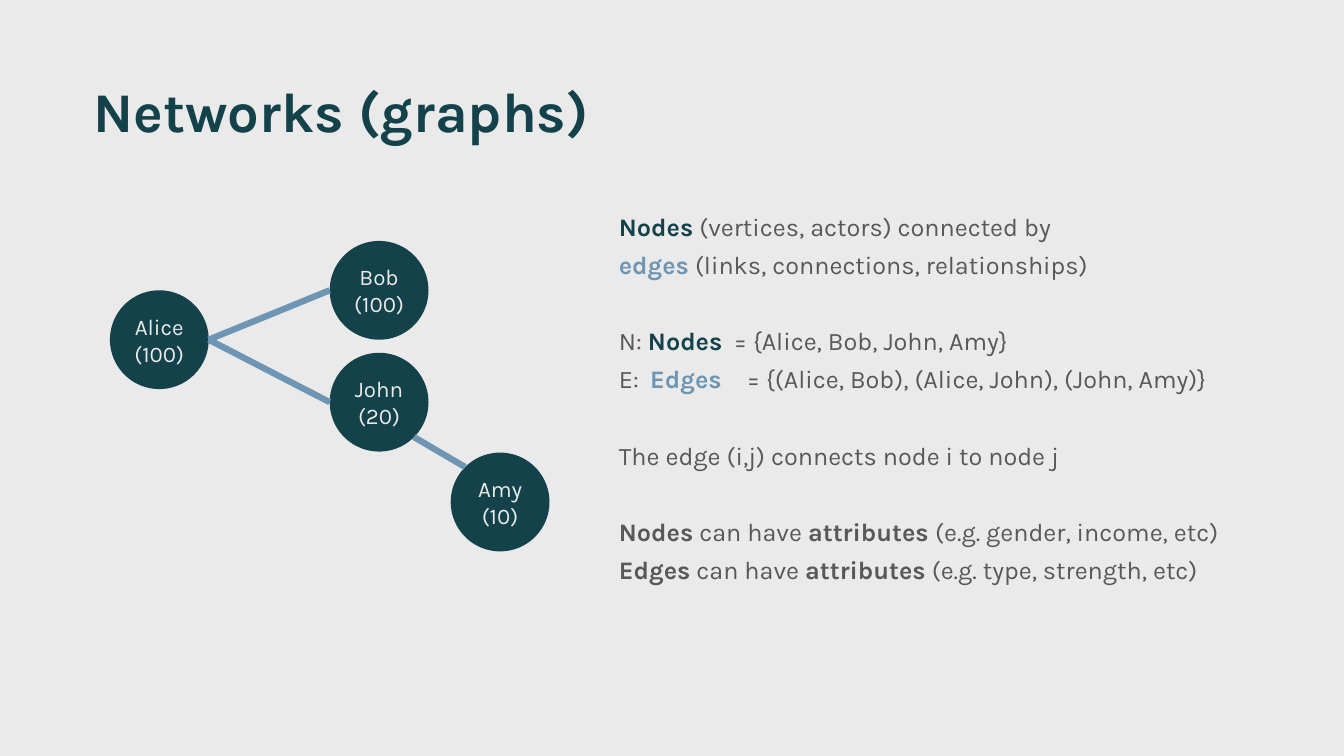
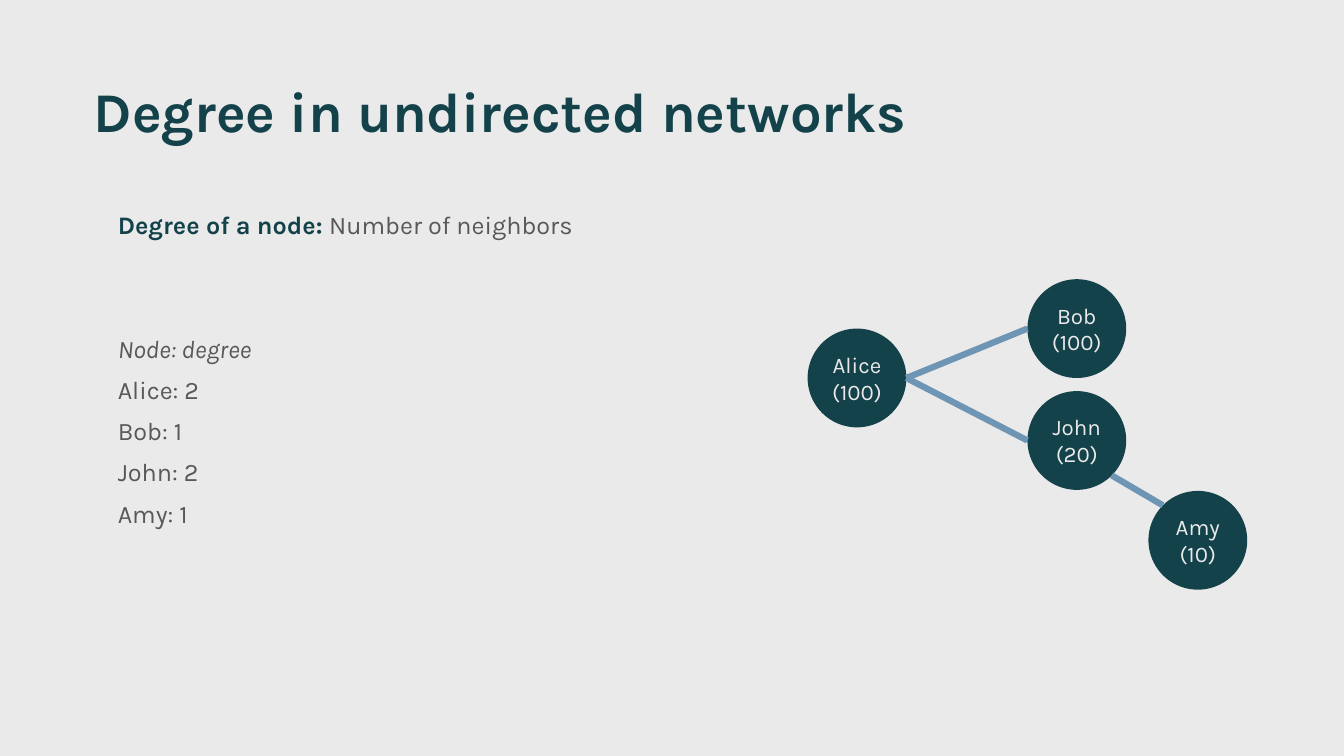
from math import cos, radians, sin

from lxml import etree
from pptx import Presentation
from pptx.dml.color import RGBColor
from pptx.enum.shapes import MSO_CONNECTOR, MSO_SHAPE
from pptx.enum.text import MSO_ANCHOR, MSO_AUTO_SIZE, PP_ALIGN
from pptx.oxml.ns import qn
from pptx.util import Inches, Pt

COLORS = {"back": "EAEAEA", "dark": "14424A", "blue": "6E96B4", "text": "585858"}
FONT = "Karla"

# Network, relative to its top left corner
NODE_SIZE = 0.98
NODES = {
    "Alice": (0, 0.49, "(100)"),
    "Bob": (2.18, 0, "(100)"),
    "John": (2.18, 1.11, "(20)"),
    "Amy": (3.38, 2.1, "(10)"),
}
# Node and clockwise angle on its rim, for each end of an edge
EDGES = [
    ("Alice", 0, "John", 180),
    ("Alice", 0, "Bob", 180),
    ("John", 45, "Amy", 225),
]

# A paragraph is (space before, tab stops, runs); a run is (text, color, style)
SLIDES = [
    {
        "title": "Networks (graphs)",
        "title_width": 5.83,
        "body_at": (6.04, 2.1),
        "line_spacing": 0.8,
        "network_at": (1.09, 2.39),
        "body": [
            (0, [], [("Nodes", "dark", "bold"),
                     (" (vertices, actors) connected by", "text", "")]),
            (10, [], [("edges", "blue", "bold"),
                      (" (links, connections, relationships)", "text", "")]),
            (37.3, [1.14], [("N: ", "text", ""), ("Nodes", "dark", "bold"),
                            ("\t= {Alice, Bob, John, Amy}", "text", "")]),
            (10, [0.31, 1.27], [("E:\t", "text", ""), ("Edges", "blue", "bold"),
                                ("\t= {(Alice, Bob), (Alice, John), (John, Amy)}", "text", "")]),
            (37.3, [], [("The edge (i,j) connects node i to node j", "text", "")]),
            (37.3, [], [("Nodes", "text", "bold"), (" can have ", "text", ""),
                        ("attributes ", "text", "bold"),
                        ("(e.g. gender, income, etc)", "text", "")]),
            (10, [], [("Edges", "text", "bold"), (" can have ", "text", ""),
                      ("attributes", "text", "bold"),
                      (" (e.g. type, strength, etc)", "text", "")]),
        ],
    },
    {
        "title": "Degree in undirected networks",
        "title_width": 11.43,
        "body_at": (1.07, 2.06),
        "line_spacing": 0.9,
        "network_at": (8.01, 2.77),
        "body": [
            (0, [], [("Degree of a node: ", "dark", "bold"),
                     ("Number of neighbors", "text", "")]),
            (69, [], [("Node: degree", "text", "italic")]),
            (10, [], [("Alice: 2", "text", "")]),
            (10, [], [("Bob: 1", "text", "")]),
            (10, [], [("John: 2", "text", "")]),
            (10, [], [("Amy: 1", "text", "")]),
        ],
    },
]


def add_run(paragraph, text, size, color, style=""):
    run = paragraph.add_run()
    run.text = text
    run.font.name = FONT
    run.font.size = Pt(size)
    run.font.bold = style == "bold"
    run.font.italic = style == "italic"
    run.font.color.rgb = RGBColor.from_string(COLORS[color])


def add_network(slide, left, top):
    """Draw the nodes as circles and join them with edges."""
    radius = NODE_SIZE / 2
    for name, (x, y, value) in NODES.items():
        node = slide.shapes.add_shape(
            MSO_SHAPE.OVAL, Inches(left + x), Inches(top + y),
            Inches(NODE_SIZE), Inches(NODE_SIZE))
        node.shadow.inherit = False
        node.fill.solid()
        node.fill.fore_color.rgb = RGBColor.from_string(COLORS["dark"])
        node.line.fill.background()
        frame = node.text_frame
        frame.vertical_anchor = MSO_ANCHOR.MIDDLE
        for paragraph, text in ((frame.paragraphs[0], name), (frame.add_paragraph(), value)):
            paragraph.alignment = PP_ALIGN.CENTER
            add_run(paragraph, text, 16, "back")

    for start, start_angle, end, end_angle in EDGES:
        ends = []
        for name, angle in ((start, start_angle), (end, end_angle)):
            x, y, _ = NODES[name]
            ends.append(Inches(left + x + radius * (1 + cos(radians(angle)))))
            ends.append(Inches(top + y + radius * (1 + sin(radians(angle)))))
        edge = slide.shapes.add_connector(MSO_CONNECTOR.STRAIGHT, *ends)
        edge.line.color.rgb = RGBColor.from_string(COLORS["blue"])
        edge.line.width = Pt(4.5)
        etree.SubElement(edge._element.spPr, qn("a:effectLst"))


presentation = Presentation()
presentation.slide_width = Inches(13.33)
presentation.slide_height = Inches(7.5)
background = presentation.slide_master.background.fill
background.solid()
background.fore_color.rgb = RGBColor.from_string(COLORS["back"])
title_only = presentation.slide_layouts[5]

for content in SLIDES:
    slide = presentation.slides.add_slide(title_only)

    title = slide.shapes.title
    title.left, title.top = Inches(0.83), Inches(0.78)
    title.width, title.height = Inches(content["title_width"]), Inches(1.3)
    title.text_frame.auto_size = MSO_AUTO_SIZE.NONE
    title.text_frame.vertical_anchor = MSO_ANCHOR.TOP
    paragraph = title.text_frame.paragraphs[0]
    paragraph.alignment = PP_ALIGN.LEFT
    paragraph.line_spacing = 0.9
    add_run(paragraph, content["title"], 40, "dark", "bold")

    left, top = content["body_at"]
    body = slide.shapes.add_textbox(Inches(left), Inches(top), Inches(6.34), Inches(4.01))
    frame = body.text_frame
    frame.word_wrap = True
    for index, (space_before, tab_stops, runs) in enumerate(content["body"]):
        paragraph = frame.add_paragraph() if index else frame.paragraphs[0]
        paragraph.line_spacing = content["line_spacing"]
        paragraph.space_before = Pt(space_before)
        if tab_stops:
            tab_list = etree.SubElement(paragraph._p.get_or_add_pPr(), qn("a:tabLst"))
            for position in tab_stops:
                etree.SubElement(tab_list, qn("a:tab"), pos=str(Inches(position)), algn="l")
        for text, color, style in runs:
            add_run(paragraph, text, 18, color, style)

    add_network(slide, *content["network_at"])

presentation.save("out.pptx")
